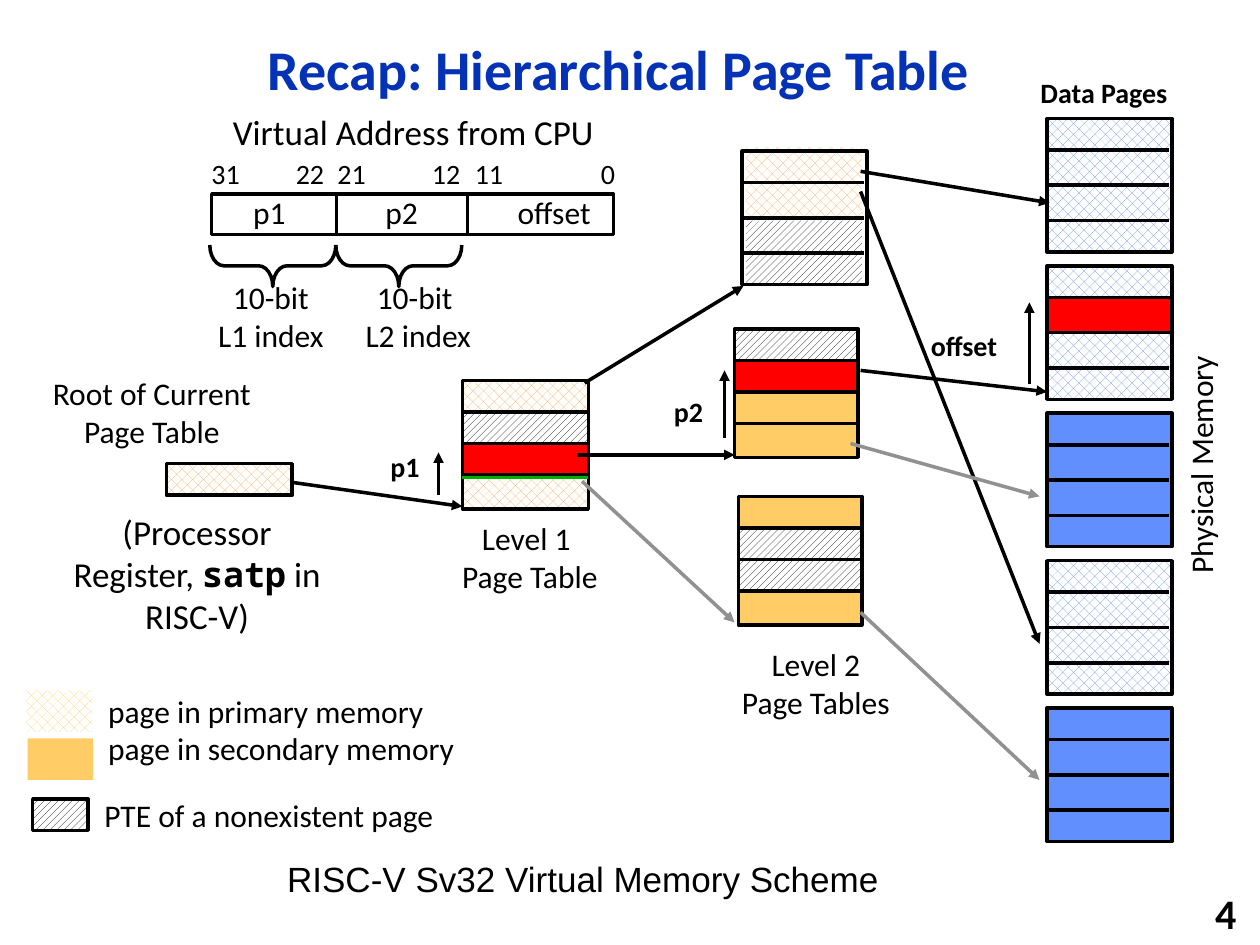
"""Build the slide on hierarchical page tables."""
from lxml.etree import SubElement
from pptx import Presentation
from pptx.dml.color import RGBColor
from pptx.enum.dml import MSO_PATTERN
from pptx.enum.shapes import MSO_CONNECTOR, MSO_SHAPE
from pptx.enum.text import MSO_ANCHOR, PP_ALIGN
from pptx.oxml.ns import qn
from pptx.util import Inches, Pt

BLACK, GRAY, GREEN, RED = "000000", "919191", "00AE00", "FF0000"
BLUE, GOLD, ORANGE = "618FFD", "FFCC66", "FFA74F"
DOTS, DIAG = map(MSO_PATTERN.from_xml, ("pct40", "wdUpDiag"))
LEFT, MID, RIGHT = PP_ALIGN.LEFT, PP_ALIGN.CENTER, PP_ALIGN.RIGHT

NONE = (BLACK, DIAG)
HELD = (ORANGE, DOTS)
DATA = (BLUE, DOTS)
DISK = (BLUE, None)
SWAP = (GOLD, None)
HIT = (RED, None)

PAGES = [DATA, DATA, DISK, DATA, DISK]
PAGE_X, PAGE_Y, PAGE_GAP = 8.31, 0.94, 1.17
TABLES = [
    (3.67, 3.02, 1, [HELD, NONE, HIT, HELD]),
    (5.83, 2.61, 0.98, [NONE, HIT, SWAP, SWAP]),
    (5.86, 3.94, 0.98, [SWAP, NONE, NONE, SWAP]),
]
ROW, ROW_H = 0.25, 0.27
PLAIN = [
    (5.92, 1.75, 0.92, 0.5, NONE),
    (5.92, 1.17, 0.92, 0.58, HELD),
    (0.22, 5.86, 0.52, 0.33, SWAP),
    (0.21, 5.48, 0.52, 0.33, (GOLD, DOTS)),
]
FRAMED = [
    (1.68, 1.54, 3.19, 0.32, None),
    (0.26, 6.34, 0.44, 0.25, NONE),
    (1.32, 3.68, 1, 0.25, HELD),
]
LINES = [
    (2.67, 1.55, 2.67, 1.86, BLACK),
    (3.71, 1.55, 3.71, 1.86, BLACK),
    (3.67, 3.79, 4.67, 3.79, GREEN),
]
ARROWS = [
    (2.33, 3.83, 3.67, 4.02, BLACK),
    (4.64, 3.04, 5.9, 2.27, BLACK),
    (4.58, 3.61, 5.83, 3.61, BLACK),
    (4.62, 3.82, 5.83, 4.94, GRAY),
    (6.83, 1.36, 8.33, 1.61, BLACK),
    (6.83, 1.52, 8.25, 5.11, BLACK),
    (6.83, 2.94, 8.31, 3.11, BLACK),
    (6.75, 3.52, 8.25, 3.94, GRAY),
    (6.83, 4.86, 8.25, 6.19, GRAY),
    (3.48, 3.93, 3.48, 3.59, BLACK),
    (5.75, 3.48, 5.75, 2.94, BLACK),
    (8.17, 3.05, 8.17, 2.4, BLACK),
]
BRACES = [2, 3]

LABELS = [
    (3.55, 4.07, 1.31, 0.7, ["Level 1 ", "Page Table"], 18, MID),
    (5.77, 5.07, 1.41, 0.74, ["Level 2", "Page Tables"], 18, MID),
    (0.76, 5.44, 2.98, 0.7,
     ["page in primary memory", "page in secondary memory"], 18, LEFT),
    (0.73, 6.27, 2.85, 0.4, ["PTE of a nonexistent page"], 18, LEFT),
    (1.62, 2.16, 1.06, 0.71, ["10-bit", "L1 index"], 18, MID),
    (2.79, 2.16, 1.06, 0.71, ["10-bit ", "L2 index"], 18, MID),
    (1.75, 0.83, 3.1, 0.43, ["Virtual Address from CPU"], 20, LEFT),
]
BOLD = [
    (8.16, 0.55, 1.23, 0.37, "Data Pages"),
    (3, 3.52, 0.43, 0.37, "p1"),
    (5.25, 3.08, 0.44, 0.37, "p2"),
    (7.29, 2.56, 0.74, 0.37, "offset"),
]
BITS = [("31", 1.58), ("22", 2.25), ("21", 2.58), ("12", 3.33),
        ("11", 3.67), ("0", 4.67)]
FIELDS, TABS = "p1\tp2\toffset", [1.05, 2.1]

deck = Presentation()
deck.slide_width, deck.slide_height = Inches(10), Inches(7.5)
shapes = deck.slides.add_slide(deck.slide_layouts[6]).shapes


def color(code):
    return RGBColor.from_string(code)


def box(x, y, w, h, paint, edge=True, kind=MSO_SHAPE.RECTANGLE):
    shape = shapes.add_shape(kind, *map(Inches, (x, y, w, h)))
    shape.shadow.inherit = False
    if paint is None:
        shape.fill.background()
    elif paint[1] is None:
        shape.fill.solid()
        shape.fill.fore_color.rgb = color(paint[0])
    else:
        shape.fill.patterned()
        shape.fill.pattern = paint[1]
        shape.fill.fore_color.rgb = color(paint[0])
        shape.fill.back_color.rgb = color("FFFFFF")
    if edge:
        shape.line.color.rgb = color(BLACK)
        shape.line.width = Pt(2)
    else:
        shape.line.fill.background()
    return shape


def line(x1, y1, x2, y2, tint=BLACK, arrow=False):
    link = shapes.add_connector(
        MSO_CONNECTOR.STRAIGHT, *map(Inches, (x1, y1, x2, y2)))
    link.line.color.rgb = color(tint)
    link.line.width = Pt(2)
    props = link._element.spPr
    if arrow:
        SubElement(props.find(qn("a:ln")), qn("a:tailEnd"), type="triangle")
    SubElement(props, qn("a:effectLst"))


def text(x, y, w, h, lines, size, align=LEFT, bold=False, wrap=False,
         tint=BLACK, face="Calibri", tabs=()):
    label = shapes.add_textbox(*map(Inches, (x, y, w, h)))
    frame = label.text_frame
    frame.word_wrap = wrap
    frame.text = "\n".join(lines)
    for para in frame.paragraphs:
        para.alignment = align
        if tabs:
            stops = SubElement(para._p.get_or_add_pPr(), qn("a:tabLst"))
            for stop in tabs:
                SubElement(stops, qn("a:tab"), pos=str(Inches(stop)), algn="l")
        font = para.font
        font.name, font.size, font.bold = face, Pt(size), bold
        font.color.rgb = color(tint)
    return label


def quad(x, y):
    for drop in (0.25, 0.53, 0.81):
        line(x, y + drop, x + 0.97, y + drop)


for item in PLAIN:
    box(*item, edge=False)
for item in FRAMED:
    box(*item)
for i, paint in enumerate(PAGES):
    top = PAGE_Y + i * PAGE_GAP
    box(PAGE_X, top, 0.99, 1.06, paint)
    quad(PAGE_X, top)
box(PAGE_X, 2.36, 0.99, 0.28, HIT)
box(5.89, 1.2, 0.99, 1.06, None)
quad(5.89, 1.2)
for x, y, w, rows in TABLES:
    for i, paint in enumerate(rows):
        box(x, y + i * ROW, w, ROW_H, paint)
for item in LINES:
    line(*item)
for item in ARROWS:
    line(*item, arrow=True)
for x in BRACES:
    brace = box(x, 1.61, 0.33, 1, None, kind=MSO_SHAPE.RIGHT_BRACE)
    brace.rotation = 90
    brace.adjustments[0] = 0.34

title = text(0.92, 0.17, 7.98, 0.81, ["Recap: Hierarchical Page Table"], 32,
             MID, bold=True, wrap=True, tint="0332B7")
title.text_frame.paragraphs[0].line_spacing = 0.9
count = text(7.83, 7.08, 2.08, 0.32, ["4"], 24, RIGHT, bold=True, wrap=True)
for label in (title, count):
    label.text_frame.vertical_anchor = MSO_ANCHOR.MIDDLE
for item in LABELS:
    text(*item)
for *place, word in BOLD:
    text(*place, [word], 16, bold=True)
for bit, x in BITS:
    text(x, 1.19, 0.5, 0.37, [bit], 16, wrap=True)
text(1.91, 1.48, 3.02, 0.4, [FIELDS], 18, wrap=True, tabs=TABS)
text(0.15, 2.92, 2.11, 0.7, ["Root of Current", "Page Table"], 18, MID, wrap=True)
root = text(0.4, 4, 2.33, 1.11, ["(Processor", "Register, "], 20, MID, wrap=True)
para = root.text_frame.paragraphs[1]
name = para.add_run()
name.text, name.font.name, name.font.bold = "satp", "Noto Sans Mono", True
para.add_run().text = " in RISC-V)"
side = text(8.26, 3.49, 2.54, 0.4, ["Physical Memory"], 18, MID, wrap=True)
side.rotation = 270
text(2.18, 6.76, 5.01, 0.44, ["RISC-V Sv32 Virtual Memory Scheme"], 20,
     wrap=True, face="Arial")

deck.save("out.pptx")
